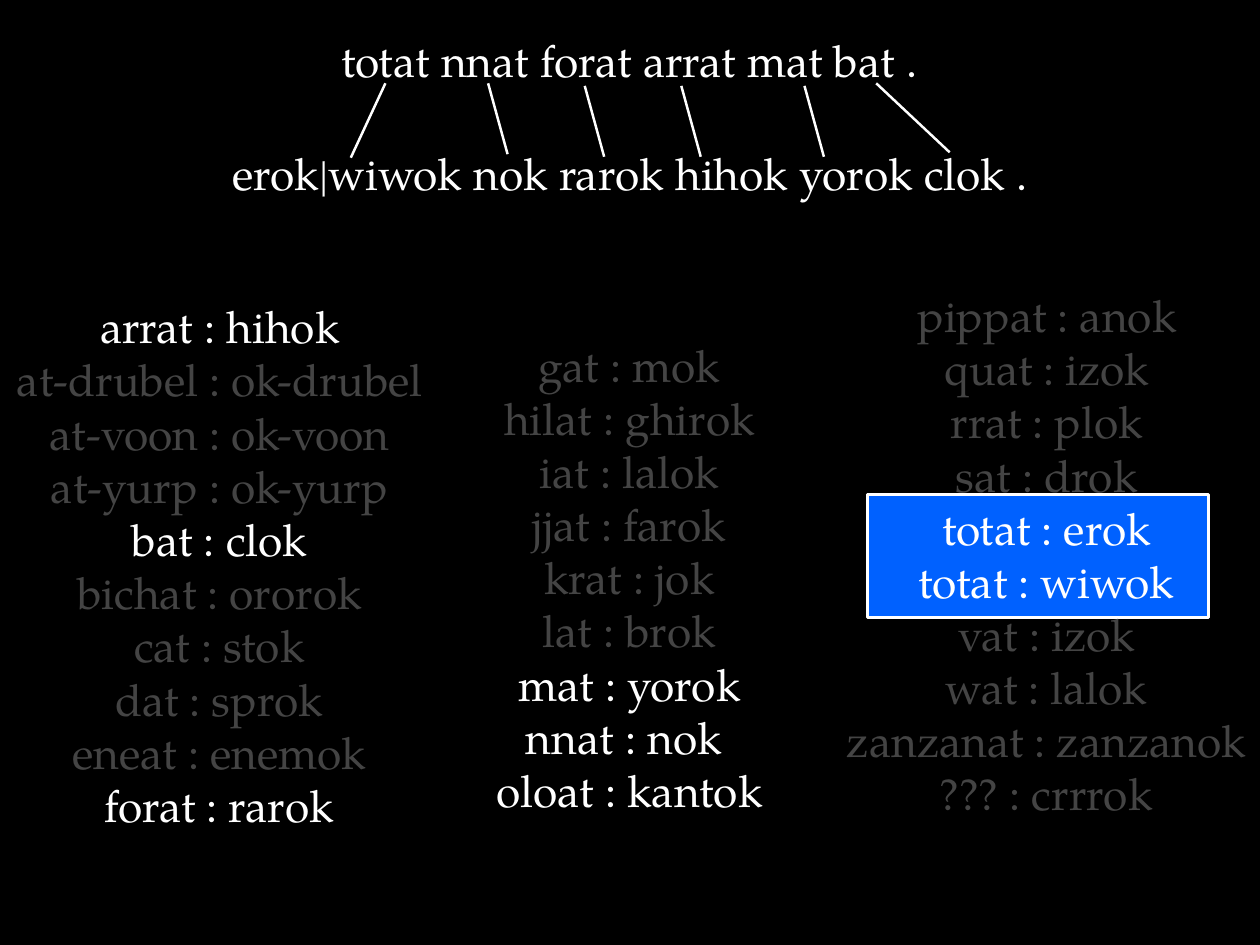
"""Build the word alignment slide with its three dictionary columns."""
from lxml.etree import SubElement
from pptx import Presentation
from pptx.dml.color import RGBColor
from pptx.enum.shapes import MSO_CONNECTOR as Connector, MSO_SHAPE as Shape
from pptx.enum.text import MSO_ANCHOR as Anchor, MSO_AUTO_SIZE as AutoSize, PP_ALIGN as Align
from pptx.oxml.ns import qn
from pptx.util import Pt

COLORS = {"background": "000000", "lit": "FFFFFF", "dim": "444444", "highlight": "0061FF"}


def rgb(name):
    return RGBColor.from_string(COLORS[name])


def write(holder, lines, *, left, top, width, height, lit=(), wrap=True, rotation=0):
    holder.left, holder.top, holder.width, holder.height = map(Pt, (left, top, width, height))
    holder.rotation = rotation
    frame = holder.text_frame
    frame.text = "\n".join(lines)
    frame.auto_size = AutoSize.NONE
    frame.word_wrap = wrap
    frame.vertical_anchor = Anchor.MIDDLE
    frame.margin_left = frame.margin_right = frame.margin_top = frame.margin_bottom = Pt(3)
    for paragraph in frame.paragraphs:
        paragraph.alignment = Align.CENTER
        paragraph.line_spacing = 1.0
        paragraph.space_before = paragraph.space_after = Pt(0)
        properties = paragraph._p.get_or_add_pPr()
        properties.set("marL", "0")
        properties.set("indent", "0")
        SubElement(properties, qn("a:buNone"))
        font = paragraph.runs[0].font
        font.name, font.size, font.bold = "TeX Gyre Pagella", Pt(36), False
        font.color.rgb = rgb("lit" if paragraph.text.split(" ")[0] in lit else "dim")


deck = Presentation()
deck.slide_width, deck.slide_height = Pt(1024), Pt(768)
slide = deck.slides.add_slide(deck.slide_layouts[4])
slide.background.fill.solid()
slide.background.fill.fore_color.rgb = rgb("background")
source_sentence, target_sentence, left_words, middle_words, right_words = slide.placeholders

highlight = slide.shapes.add_shape(Shape.RECTANGLE, Pt(704.9), Pt(401.8), Pt(277.2), Pt(100.1))
highlight.shadow.inherit = False
highlight.fill.solid()
highlight.fill.fore_color.rgb = rgb("highlight")
highlight.line.color.rgb = rgb("lit")
highlight.line.width = Pt(2)
source_sentence._element.addprevious(highlight._element)

write(source_sentence, ["totat nnat forat arrat mat bat ."],
      left=185, top=21.6, width=653, height=54, lit={"totat"})
write(target_sentence, ["erok|wiwok nok rarok hihok yorok clok ."],
      left=167.8, top=113.8, width=688.3, height=54, lit={"erok|wiwok"})

write(left_words, ["arrat : hihok", "at-drubel : ok-drubel", "at-voon : ok-voon",
                   "at-yurp : ok-yurp", "bat : clok", "bichat : ororok", "cat : stok",
                   "dat : sprok", "eneat : enemok", "forat : rarok"],
      left=5, top=216.7, width=347, height=486, wrap=False, rotation=0.1,
      lit={"arrat", "bat", "forat"})
write(middle_words, ["gat : mok", "hilat : ghirok", "iat : lalok", "jjat : farok",
                     "krat : jok", "lat : brok", "mat : yorok", "nnat : nok ",
                     "oloat : kantok"],
      left=395.3, top=226, width=232.6, height=486, wrap=False,
      lit={"mat", "nnat", "oloat"})
write(right_words, ["pippat : anok", "quat : izok", "rrat : plok", "sat : drok",
                    "totat : erok", "totat : wiwok", "vat : izok", "wat : lalok",
                    "zanzanat : zanzanok", "??? : crrrok"],
      left=680.4, top=207.4, width=340.6, height=486, wrap=False, rotation=0.1,
      lit={"totat"})

alignments = [(313.2, 67.7, -28.1, 60.5), (396.7, 67.7, 15.8, 57.6),
              (475.2, 69.8, 15.8, 57.6), (553.7, 69.8, 15.8, 57.6),
              (653.8, 69.8, 15.8, 57.6), (712.1, 67.7, 59.7, 56.1)]
for x, y, across, down in alignments:
    link = slide.shapes.add_connector(Connector.STRAIGHT, Pt(x), Pt(y),
                                      Pt(x + across), Pt(y + down))
    link.line.color.rgb = rgb("lit")
    link.line.width = Pt(2)
    SubElement(link._element.spPr, qn("a:effectLst"))

deck.save("out.pptx")
